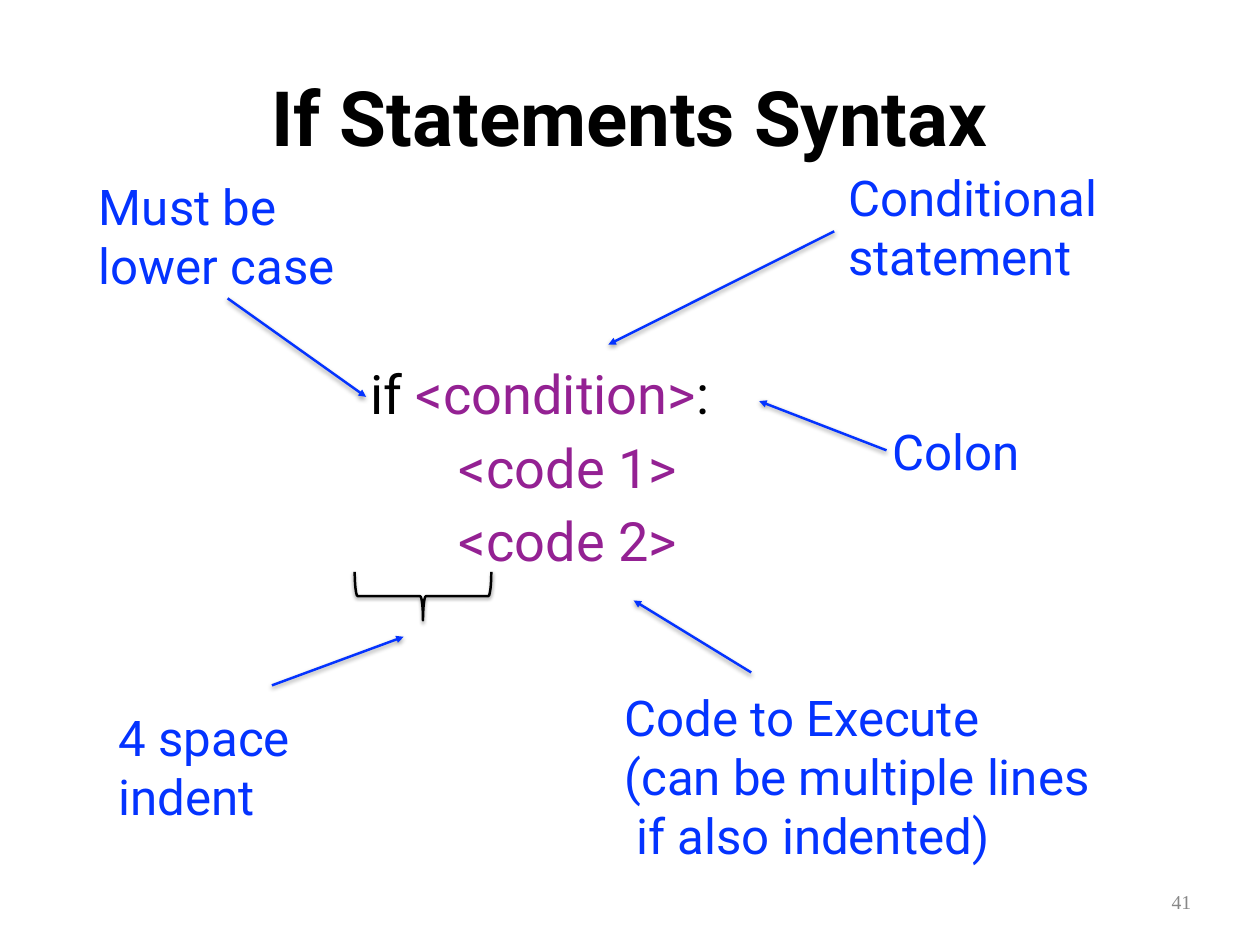
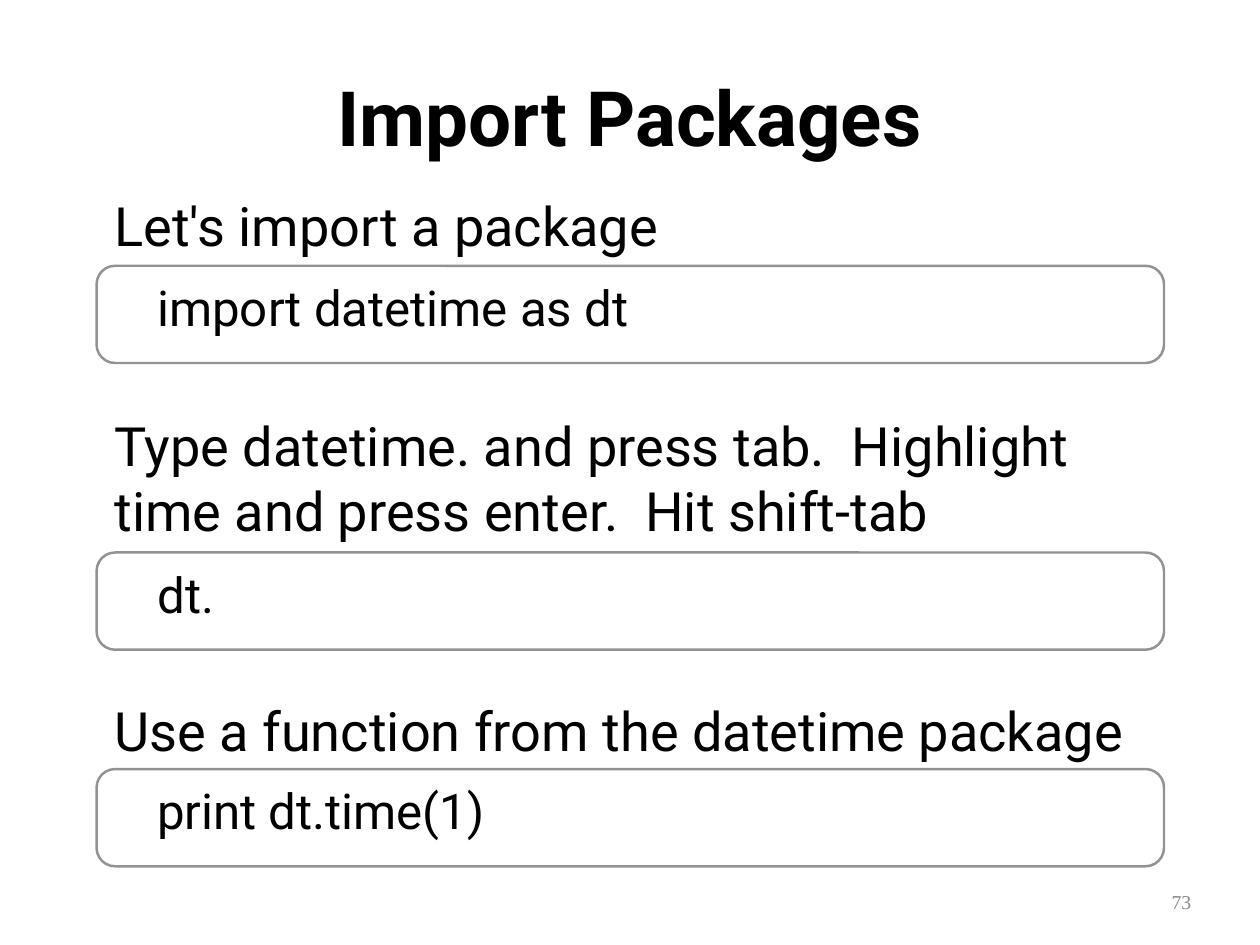
from dataclasses import dataclass
from typing import Any, Optional

from lxml import etree
from pptx import Presentation
from pptx.dml.color import RGBColor
from pptx.enum.shapes import MSO_CONNECTOR, MSO_SHAPE
from pptx.enum.text import MSO_ANCHOR, MSO_AUTO_SIZE, PP_ALIGN
from pptx.oxml.ns import qn
from pptx.util import Pt

STRAIGHT = MSO_CONNECTOR.STRAIGHT
ROUND, BRACE = MSO_SHAPE.ROUNDED_RECTANGLE, MSO_SHAPE.RIGHT_BRACE
TOP, MIDDLE = MSO_ANCHOR.TOP, MSO_ANCHOR.MIDDLE
FIXED, GROW = MSO_AUTO_SIZE.NONE, MSO_AUTO_SIZE.SHAPE_TO_FIT_TEXT
LEFT, CENTER, RIGHT = PP_ALIGN.LEFT, PP_ALIGN.CENTER, PP_ALIGN.RIGHT
LEFT_SIDE = 1

HEX = {"ink": "000000", "note": "0433FF", "code": "942193",
       "edge": "929292", "page": "888888"}

# Text formats
FONT = {
    "title": {"name": "Roboto", "size": Pt(62), "bold": True},
    "body": {"name": "Roboto", "size": Pt(44)},
    "note": {"name": "Roboto", "size": Pt(40)},
    "page": {"name": "Times New Roman", "size": Pt(16)},
}
INSET = {f"margin_{side}": Pt(5) for side in ("left", "top", "right", "bottom")}

# Places: left, top, width, height
TITLE = (51, 10, 922, 169)
SYNTAX = (296, 288, 433, 217)
PAGE = (734, 718, 239, 30)


@dataclass
class Para:
    runs: list[tuple[str, str]]
    indent: float = 0
    level: int = 0
    before: float = 0


@dataclass
class Label:
    text: str
    place: tuple[float, float, float, float]
    start: tuple[float, float]
    end: tuple[float, float]
    side: Optional[int] = None


@dataclass
class Step:
    prompt: str
    code: str
    top: float
    box: float


LABELS = [
    Label("Must be\nlower case", (75.5, 138, 202, 106.5), (185, 242.5), (297.5, 322.5)),
    Label("Conditional\nstatement", (684.5, 131, 233, 106.5), (678, 188), (494.5, 280)),
    Label("Colon", (720.5, 337, 116, 58), (721, 363), (617, 326), LEFT_SIDE),
    Label("4 space\nindent", (91.5, 569.5, 173.5, 106.5), (221, 557), (328, 517.5)),
    Label("Code to Execute\n(can be multiple lines\n if also indented)",
          (502.5, 553.5, 398, 154), (610.5, 546.5), (515, 488)),
]

STEPS = [
    Step("Let's import a package", "import datetime as dt", 151, 216),
    Step("Type datetime. and press tab.  Highlight time and press enter.  "
         "Hit shift-tab", "dt.", 330, 449),
    Step("Use a function from the datetime package", "print dt.time(1)", 561.5, 625),
]


def color(name: str) -> RGBColor:
    return RGBColor.from_string(HEX[name])


def put(item: Any, values: dict[str, Any]) -> None:
    for key, value in values.items():
        setattr(item, key, value)


def place(item: Any, box: tuple) -> None:
    put(item, dict(zip(("left", "top", "width", "height"), map(Pt, box))))


def plain(text: str, name: str = "ink", indent: float = 0) -> list[Para]:
    return [Para([(line, name)], indent) for line in text.split("\n")]


def write(item: Any, paras: list[Para], style: str, align: Any = LEFT,
          anchor: Any = TOP, fit: Any = FIXED, wrap: bool = True) -> None:
    frame = item.text_frame
    put(frame, INSET | {"vertical_anchor": anchor, "auto_size": fit, "word_wrap": wrap})
    for i, para in enumerate(paras):
        line = frame.add_paragraph() if i else frame.paragraphs[0]
        put(line, {"alignment": align, "level": para.level,
                   "space_before": Pt(para.before)})
        props = line._p.get_or_add_pPr()
        props.set("marL", "0")
        props.set("indent", str(Pt(para.indent)))
        etree.SubElement(props, qn("a:buNone"))
        for text, name in para.runs:
            run = line.add_run()
            run.text = text
            put(run.font, FONT[style])
            run.font.color.rgb = color(name)


def stroke(item: Any, name: str) -> None:
    item.line.width = Pt(2)
    item.line.color.rgb = color(name)


def shade(item: Any, blur: float, drop: float) -> None:
    props = item._element.spPr
    for old in props.findall(qn("a:effectLst")):
        props.remove(old)
    cast = etree.SubElement(
        etree.SubElement(props, qn("a:effectLst")), qn("a:outerShdw"),
        blurRad=str(Pt(blur)), dist=str(Pt(drop)), dir="5400000", rotWithShape="0")
    tint = etree.SubElement(cast, qn("a:srgbClr"), val=HEX["ink"])
    etree.SubElement(tint, qn("a:alpha"), val="38000")


def text_box(slide: Any, box: tuple, paras: list[Para], style: str, **kind: Any) -> Any:
    item = slide.shapes.add_textbox(*map(Pt, box))
    write(item, paras, style, **kind)
    return item


def start(deck: Any, layout: int, title: str, page: str) -> Any:
    slide = deck.slides.add_slide(deck.slide_layouts[layout])
    place(slide.shapes.title, TITLE)
    write(slide.shapes.title, plain(title), "title", CENTER, MIDDLE)
    text_box(slide, PAGE, plain(page, "page"), "page",
             align=RIGHT, anchor=MIDDLE, fit=GROW)
    return slide


def add_label(slide: Any, label: Label) -> None:
    note = text_box(slide, label.place, plain(label.text, "note"), "note",
                    fit=GROW, wrap=False)
    arrow = slide.shapes.add_connector(STRAIGHT, *map(Pt, label.start + label.end))
    if label.side is not None:
        arrow.begin_connect(note, label.side)
    stroke(arrow, "note")
    etree.SubElement(arrow.line._get_or_add_ln(), qn("a:tailEnd"), type="triangle")
    shade(arrow, 4, 2)


def add_step(slide: Any, step: Step) -> None:
    box = slide.shapes.add_shape(ROUND, Pt(78.5), Pt(step.box), Pt(867.5), Pt(79))
    box.adjustments[0] = 0.19
    box.shadow.inherit = False
    box.fill.background()
    stroke(box, "edge")
    write(box, plain(step.code, indent=40), "note")
    text_box(slide, (88, step.top, 847.5, step.box - step.top),
             plain(step.prompt), "body", fit=GROW)


def syntax(deck: Any) -> None:
    slide = start(deck, 1, "If Statements Syntax", "41")
    body = slide.placeholders[1]
    place(body, SYNTAX)
    head = Para([("if ", "ink"), ("<condition>", "code"), (":", "ink")], before=7)
    lines = [Para([(f"<code {n}>", "code")], 72, 2, 7) for n in (1, 2)]
    write(body, [head, *lines], "body")
    for label in LABELS:
        add_label(slide, label)
    # Brace under the indent
    brace = slide.shapes.add_shape(BRACE, Pt(324), Pt(429), Pt(39.5), Pt(111))
    brace.rotation = 90
    brace.adjustments[0] = 0.06
    brace.fill.background()
    stroke(brace, "ink")
    shade(brace, 3, 1.6)


def imports(deck: Any) -> None:
    slide = start(deck, 5, "Import Packages", "73")
    for step in STEPS:
        add_step(slide, step)


def main() -> None:
    deck = Presentation()
    put(deck, {"slide_width": Pt(1024), "slide_height": Pt(768)})
    syntax(deck)
    imports(deck)
    deck.save("out.pptx")


if __name__ == "__main__":
    main()
